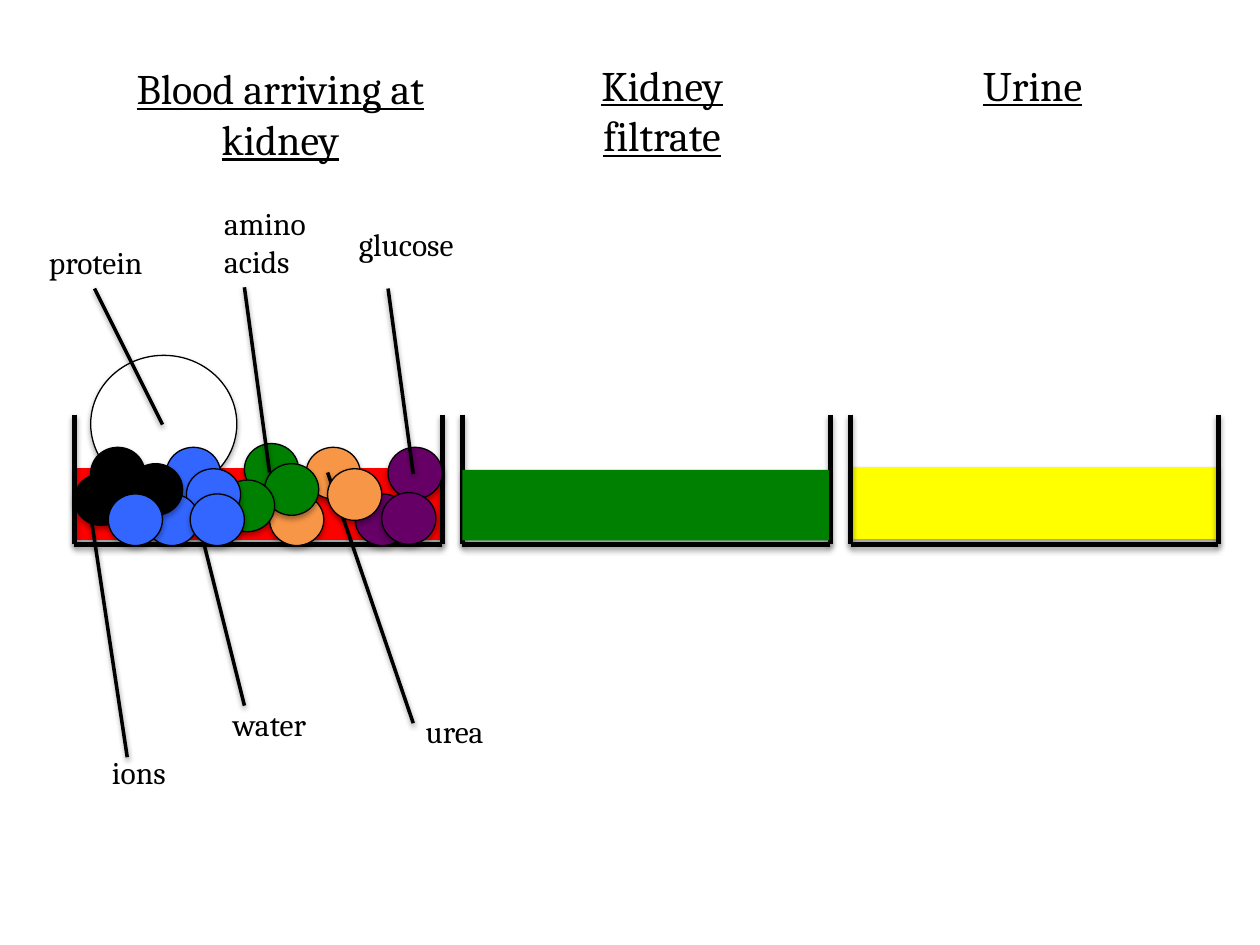
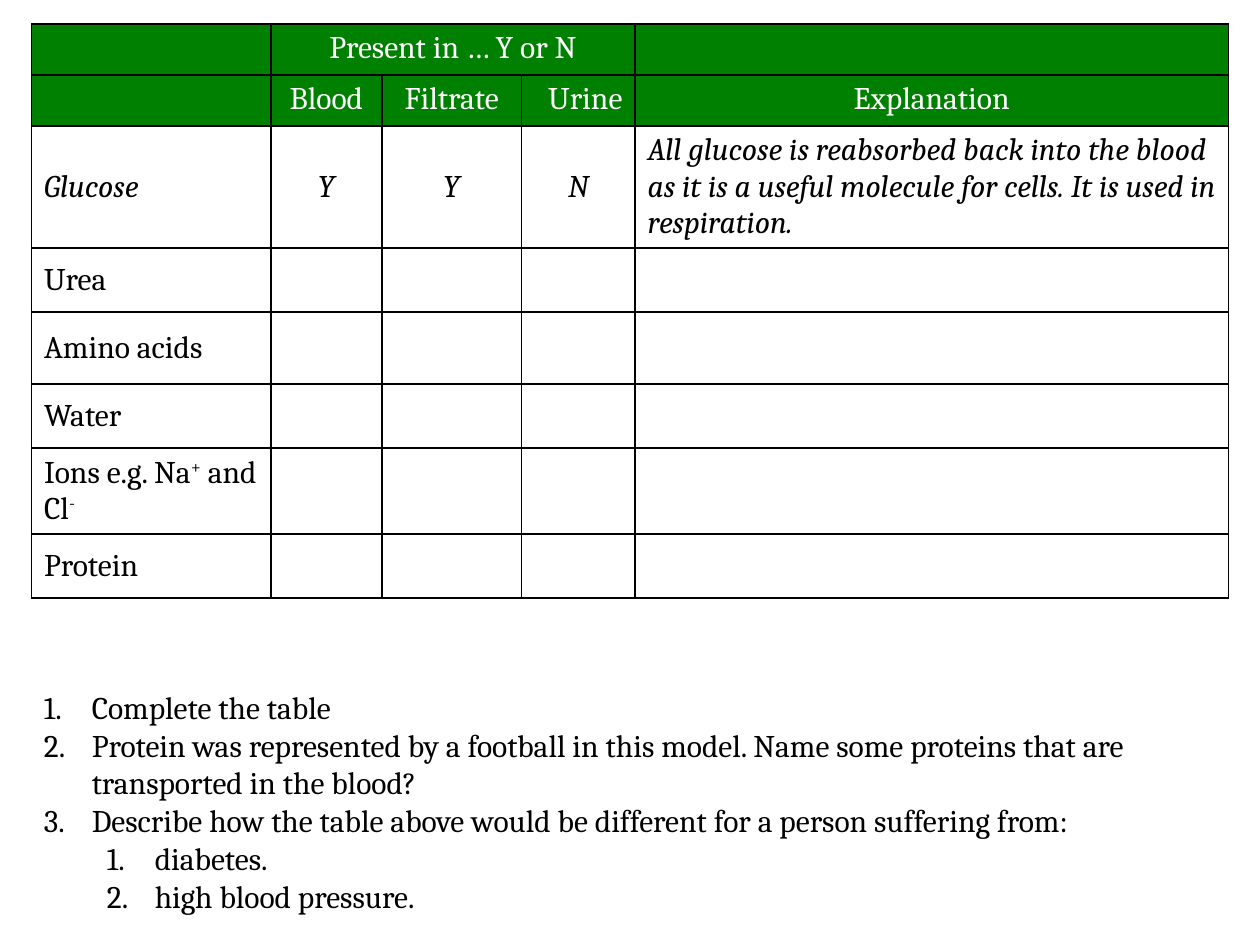
from lxml import etree
from pptx import Presentation
from pptx.dml.color import RGBColor
from pptx.enum import shapes, text
from pptx.oxml import ns
from pptx.util import Inches, Pt

FONT = "Cambria"
BLACK = RGBColor(0x00, 0x00, 0x00)
WHITE = RGBColor(0xFF, 0xFF, 0xFF)
RED = RGBColor(0xFF, 0x00, 0x00)
YELLOW = RGBColor(0xFF, 0xFF, 0x00)
GREEN = RGBColor(0x00, 0x80, 0x00)
BLUE = RGBColor(0x33, 0x66, 0xFF)
ORANGE = RGBColor(0xF7, 0x96, 0x46)
PURPLE = RGBColor(0x66, 0x00, 0x66)

LEFT = text.PP_ALIGN.LEFT
CENTER = text.PP_ALIGN.CENTER
RIGHT = text.PP_ALIGN.RIGHT

HEADINGS = [
    ("Blood arriving at kidney", 0.55, 0.45, 3.35, 0.91),
    ("Kidney filtrate", 4.27, 0.42, 1.97, 0.91),
    ("Urine", 7.64, 0.42, 1.11, 0.5),
]
BEAKER_LEFT, BEAKER_PITCH, BEAKER_WIDTH = 0.59, 3.08, 2.92
BEAKER_TOP, BEAKER_BOTTOM = 3.29, 4.32
BLOOD = (0.59, 3.72, 2.91, 0.56)
FILTRATE = (3.67, 3.73, 2.91, 0.56)
URINE = (6.76, 3.71, 2.9, 0.56)
PROTEIN_BALL = (0.72, 2.82, 1.16, 1.09)

BALL_WIDTH, BALL_HEIGHT = 0.43, 0.41
BACK_BALLS = [
    (BLACK, 0.72, 3.55), (BLUE, 1.32, 3.55), (GREEN, 1.94, 3.52),
    (ORANGE, 2.43, 3.55), (PURPLE, 3.08, 3.55),
]
FRONT_BALLS = [
    (PURPLE, 2.82, 3.92), (ORANGE, 2.14, 3.92), (ORANGE, 2.6, 3.72),
    (GREEN, 2.1, 3.68), (GREEN, 1.75, 3.81), (BLUE, 1.48, 3.72),
    (BLUE, 1.15, 3.92), (BLACK, 0.59, 3.76), (BLACK, 1.02, 3.68),
    (PURPLE, 3.03, 3.91), (BLUE, 1.51, 3.92), (BLUE, 0.86, 3.92),
]
LABELS = [
    ("water", (1.75, 5.55, 0.92, 0.4), (1.53, 3.96, 1.94, 5.6)),
    ("amino acids", (1.68, 1.57, 0.92, 0.71), (1.94, 2.28, 2.14, 3.75)),
    ("glucose", (2.75, 1.74, 1.12, 0.4), (3.08, 2.29, 3.28, 3.76)),
    ("urea", (3.28, 5.6, 0.92, 0.4), (2.6, 3.75, 3.28, 5.74)),
    ("ions", (0.79, 5.93, 0.92, 0.4), (0.71, 4.02, 1.01, 6.01)),
    ("protein", (0.29, 1.88, 1.24, 0.4), (0.75, 2.29, 1.29, 3.37)),
]

TABLE_AT = (0.25, 0.19)
COLUMN_WIDTHS = [1.9, 0.88, 1.11, 0.9, 4.71]
ROW_HEIGHTS = [0.39, 0.39, 0.96, 0.51, 0.57, 0.51, 0.68, 0.51]
HEADER_ROWS, EXAMPLE_ROW = 2, 2
ROWS = [
    ["", "Present in … Y or N", "", "", ""],
    ["", "Blood", "Filtrate", "Urine", "Explanation"],
    ["Glucose", "Y", "Y", "N",
     "All glucose is reabsorbed back into the blood as it is a useful "
     "molecule for cells. It is used in respiration."],
    ["Urea"],
    ["Amino acids"],
    ["Water"],
    [("Ions e.g. Na", "+", " and Cl", "-")],
    ["Protein"],
]
QUESTIONS = [
    (0, "Complete the table"),
    (0, "Protein was represented by a football in this model. "
        "Name some proteins that are transported in the blood?"),
    (0, "Describe how the table above would be different for a person suffering from:"),
    (1, "diabetes."),
    (1, "high blood pressure."),
]


def add_run(paragraph, wording, size=18, color=BLACK):
    run = paragraph.add_run()
    run.text = wording
    run.font.name = FONT
    run.font.size = Pt(size)
    run.font.bold = False
    run.font.color.rgb = color
    return run


def add_text_box(slide, box):
    frame = slide.shapes.add_textbox(*map(Inches, box)).text_frame
    frame.word_wrap = True
    return frame


def add_filled_shape(slide, kind, box, fill, line=BLACK):
    shape = slide.shapes.add_shape(kind, *map(Inches, box))
    shape.fill.solid()
    shape.fill.fore_color.rgb = fill
    if line is None:
        shape.line.fill.background()
    else:
        shape.line.color.rgb = line
        shape.line.width = Pt(0.75)


def add_line(slide, ends, width):
    connector = slide.shapes.add_connector(shapes.MSO_CONNECTOR.STRAIGHT, *map(Inches, ends))
    connector.line.color.rgb = BLACK
    connector.line.width = Pt(width)


def add_balls(slide, balls):
    for color, left, top in balls:
        add_filled_shape(slide, shapes.MSO_SHAPE.OVAL, (left, top, BALL_WIDTH, BALL_HEIGHT), color)


def add_beaker(slide, left):
    right = left + BEAKER_WIDTH
    corners = [(left, BEAKER_TOP), (left, BEAKER_BOTTOM),
               (right, BEAKER_BOTTOM), (right, BEAKER_TOP)]
    for start, end in zip(corners, corners[1:]):
        add_line(slide, start + end, 3)


def build_beakers(slide):
    rectangle = shapes.MSO_SHAPE.RECTANGLE
    add_filled_shape(slide, rectangle, BLOOD, RED, RED)
    add_filled_shape(slide, rectangle, URINE, YELLOW, YELLOW)
    add_filled_shape(slide, shapes.MSO_SHAPE.OVAL, PROTEIN_BALL, WHITE)
    for index in range(len(HEADINGS)):
        add_beaker(slide, BEAKER_LEFT + index * BEAKER_PITCH)
    add_filled_shape(slide, rectangle, FILTRATE, GREEN, None)
    add_balls(slide, BACK_BALLS)
    for wording, box, leader in LABELS:
        add_line(slide, leader, 2)
        add_run(add_text_box(slide, box).paragraphs[0], wording)
    for wording, *box in HEADINGS:
        paragraph = add_text_box(slide, box).paragraphs[0]
        paragraph.alignment = CENTER
        add_run(paragraph, wording, 24).font.underline = True
    add_balls(slide, FRONT_BALLS)


def add_borders(cell):
    properties = cell._tc.get_or_add_tcPr()
    for index, side in enumerate(("a:lnL", "a:lnR", "a:lnT", "a:lnB")):
        border = etree.Element(ns.qn(side), w=str(Pt(1)))
        fill = etree.SubElement(border, ns.qn("a:solidFill"))
        etree.SubElement(fill, ns.qn("a:srgbClr"), val=str(BLACK))
        properties.insert(index, border)


def cell_alignment(row, column):
    if (row, column) == (1, 3):
        return RIGHT
    if row < HEADER_ROWS or 0 < column < 4:
        return CENTER
    return LEFT


def fill_cell(cell, row, column, content):
    header = row < HEADER_ROWS
    cell.fill.solid()
    cell.fill.fore_color.rgb = GREEN if header else WHITE
    add_borders(cell)
    if not header:
        cell.vertical_anchor = text.MSO_ANCHOR.MIDDLE
    if not content:
        return
    paragraph = cell.text_frame.paragraphs[0]
    paragraph.alignment = cell_alignment(row, column)
    pieces = (content,) if isinstance(content, str) else content
    for index, piece in enumerate(pieces):
        run = add_run(paragraph, piece, color=WHITE if header else BLACK)
        run.font.italic = row == EXAMPLE_ROW
        if index % 2:
            run._r.get_or_add_rPr().set("baseline", "30000")


def build_table(slide):
    size = (sum(COLUMN_WIDTHS), sum(ROW_HEIGHTS))
    table = slide.shapes.add_table(
        len(ROWS), len(COLUMN_WIDTHS), *map(Inches, TABLE_AT + size)).table
    table.first_row = False
    table.horz_banding = False
    for column, width in zip(table.columns, COLUMN_WIDTHS):
        column.width = Inches(width)
    for row, height in zip(table.rows, ROW_HEIGHTS):
        row.height = Inches(height)
    for row, contents in enumerate(ROWS):
        for column in range(len(COLUMN_WIDTHS)):
            content = contents[column] if column < len(contents) else ""
            fill_cell(table.cell(row, column), row, column, content)
    table.cell(0, 1).merge(table.cell(0, 3))


def build_questions(slide):
    frame = add_text_box(slide, (0.25, 5.41, 9.32, 1.95))
    for index, (level, wording) in enumerate(QUESTIONS):
        paragraph = frame.add_paragraph() if index else frame.paragraphs[0]
        paragraph.level = level
        properties = paragraph._p.get_or_add_pPr()
        properties.set("marL", str(Inches(0.38 + 0.5 * level)))
        properties.set("indent", str(Inches(-0.38)))
        etree.SubElement(properties, ns.qn("a:buAutoNum"), type="arabicPeriod")
        add_run(paragraph, wording)


def main():
    presentation = Presentation()
    presentation.slide_width = Inches(10)
    presentation.slide_height = Inches(7.5)
    blank_layout = presentation.slide_layouts[6]
    build_beakers(presentation.slides.add_slide(blank_layout))
    table_slide = presentation.slides.add_slide(blank_layout)
    build_table(table_slide)
    build_questions(table_slide)
    presentation.save("out.pptx")


if __name__ == "__main__":
    main()
